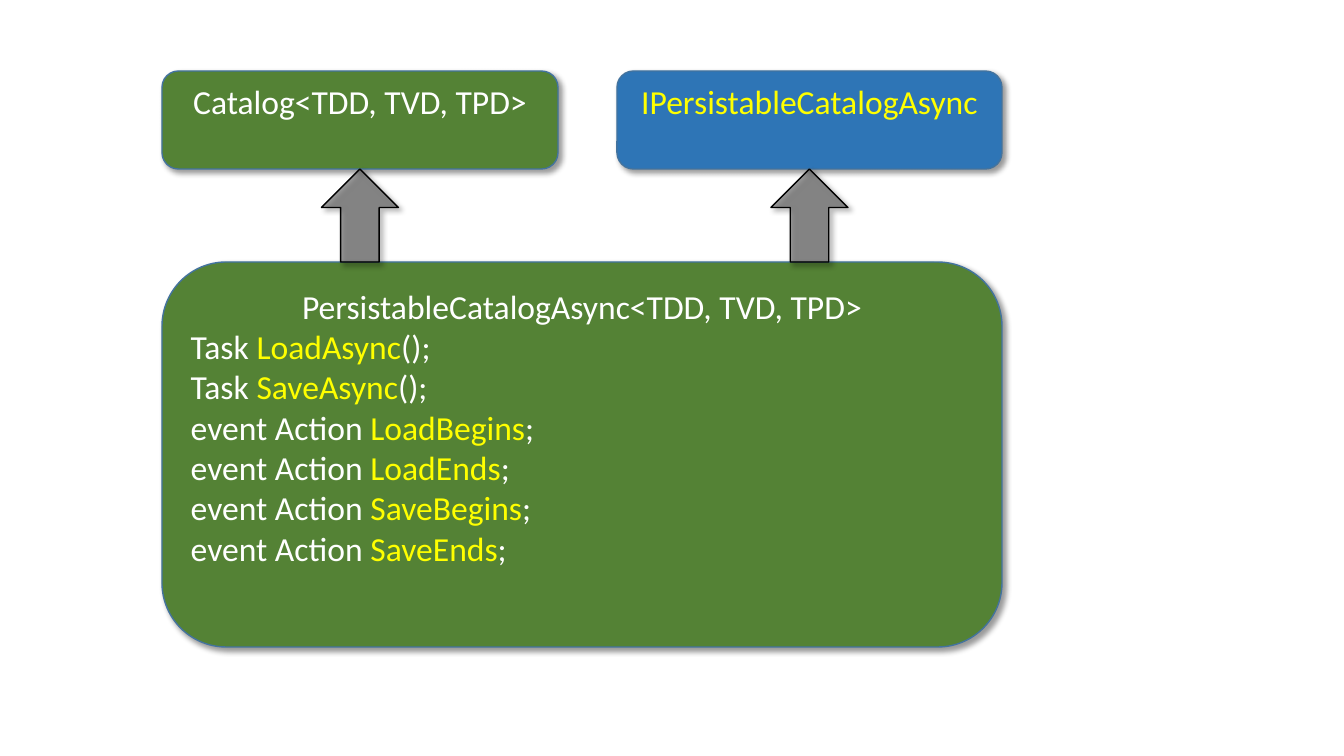
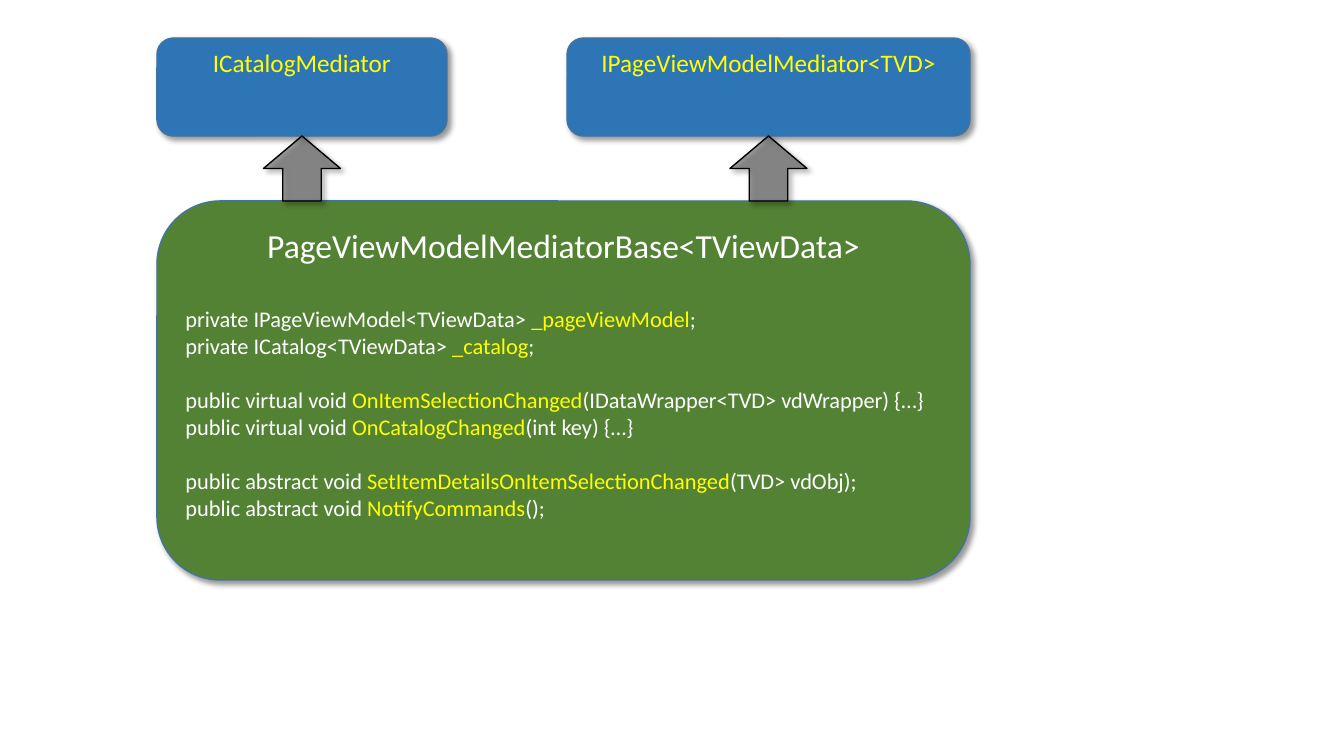
import pptx
import pptx.dml.color
import pptx.enum.shapes
import pptx.enum.text
import pptx.oxml
import pptx.oxml.ns
import pptx.util

PX = 914400 / 100.8
FONT = "Calibri"
COLORS = {
    "class": "548235",
    "interface": "2E75B6",
    "border": "43739E",
    "arrow": "595959",
    "outline": "000000",
    "text": "FFFFFF",
    "name": "FFFF00",
}
SHADOW = (
    '<a:outerShdw %s blurRad="50800" dist="38100" dir="2700000" algn="tl" rotWithShape="0">'
    '<a:srgbClr val="000000"><a:alpha val="40000"/></a:srgbClr></a:outerShdw>'
    % pptx.oxml.ns.nsdecls("a")
)
ARROW_WIDTH = 77
SHAPES = pptx.enum.shapes.MSO_SHAPE
ALIGN = pptx.enum.text.PP_ALIGN

# Each box is left, top, width, height in px.
# Each member is text before its name, name, text after it, space before in points.
DIAGRAMS = [
    {
        "parents": [
            ("class", "Catalog<TDD, TVD, TPD>", (162, 71, 396, 98)),
            ("interface", "IPersistableCatalogAsync", (617, 71, 385, 98)),
        ],
        "parent_size": 24,
        "title": "PersistableCatalogAsync<TDD, TVD, TPD>",
        "box": (162, 262, 840, 385),
        "member_size": 24,
        "members": [
            ("Task ", "LoadAsync", "();", 0),
            ("Task ", "SaveAsync", "();", 0),
            ("event Action ", "LoadBegins", ";", 0),
            ("event Action ", "LoadEnds", ";", 0),
            ("event Action ", "SaveBegins", ";", 0),
            ("event Action ", "SaveEnds", ";", 0),
        ],
    },
    {
        "parents": [
            ("interface", "ICatalogMediator", (157, 38, 290, 98)),
            ("interface", "IPageViewModelMediator<TVD>", (567, 38, 403, 98)),
        ],
        "parent_size": 18,
        "title": "PageViewModelMediatorBase<TViewData>",
        "box": (157, 201, 813, 379),
        "member_size": 16,
        "members": [
            ("private IPageViewModel<TViewData> ", "_pageViewModel", ";", 29),
            ("private ICatalog<TViewData> ", "_catalog", ";", 0),
            ("public virtual void ", "OnItemSelectionChanged",
             "(IDataWrapper<TVD> vdWrapper) {…}", 19.5),
            ("public virtual void ", "OnCatalogChanged", "(int key) {…}", 0),
            ("public abstract void ", "SetItemDetailsOnItemSelectionChanged",
             "(TVD> vdObj);", 19.5),
            ("public abstract void ", "NotifyCommands", "();", 0),
        ],
    },
]


def add_block(slide, kind, box, fill, line):
    """Add a filled, outlined shape with the shared soft shadow."""
    shape = slide.shapes.add_shape(kind, *(round(length * PX) for length in box))
    shape.fill.solid()
    shape.fill.fore_color.rgb = pptx.dml.color.RGBColor.from_string(COLORS[fill])
    shape.line.color.rgb = pptx.dml.color.RGBColor.from_string(COLORS[line])
    shape.line.width = pptx.util.Pt(1)
    shape.shadow.inherit = False
    effects = shape.element.spPr.find(pptx.oxml.ns.qn("a:effectLst"))
    effects.append(pptx.oxml.parse_xml(SHADOW))
    shape.text_frame.word_wrap = True
    shape.text_frame.vertical_anchor = pptx.enum.text.MSO_ANCHOR.TOP
    return shape


def write_line(paragraph, parts, size, alignment):
    """Write (text, colour name) parts as the runs of one paragraph."""
    paragraph.alignment = alignment
    for text, color in parts:
        run = paragraph.add_run()
        run.text = text
        run.font.name = FONT
        run.font.size = pptx.util.Pt(size)
        run.font.color.rgb = pptx.dml.color.RGBColor.from_string(COLORS[color])


presentation = pptx.Presentation()
presentation.slide_width = round(1344 * PX)
presentation.slide_height = round(756 * PX)

for diagram in DIAGRAMS:
    slide = presentation.slides.add_slide(presentation.slide_layouts[6])

    # Derived class with its members
    class_box = add_block(slide, SHAPES.ROUNDED_RECTANGLE, diagram["box"], "class", "border")
    text_frame = class_box.text_frame
    write_line(text_frame.paragraphs[0], [(diagram["title"], "text")], 24, ALIGN.CENTER)
    for before, name, after, gap in diagram["members"]:
        paragraph = text_frame.add_paragraph()
        paragraph.space_before = pptx.util.Pt(gap)
        parts = [(before, "text"), (name, "name"), (after, "text")]
        write_line(paragraph, parts, diagram["member_size"], ALIGN.LEFT)

    # Parents, each with an arrow rising to it from the class
    class_top = diagram["box"][1]
    for kind, title, box in diagram["parents"]:
        parent = add_block(slide, SHAPES.ROUNDED_RECTANGLE, box, kind, "border")
        color = "name" if kind == "interface" else "text"
        write_line(parent.text_frame.paragraphs[0], [(title, color)],
                   diagram["parent_size"], ALIGN.CENTER)

        left, top, width, height = box
        bottom = top + height
        arrow_box = (left + (width - ARROW_WIDTH) / 2, bottom, ARROW_WIDTH, class_top - bottom)
        arrow = add_block(slide, SHAPES.UP_ARROW, arrow_box, "arrow", "outline")
        fill_color = arrow.element.spPr.find(
            pptx.oxml.ns.qn("a:solidFill")).find(pptx.oxml.ns.qn("a:srgbClr"))
        fill_color.append(pptx.oxml.parse_xml(
            '<a:alpha %s val="60000"/>' % pptx.oxml.ns.nsdecls("a")))

presentation.save("out.pptx")
